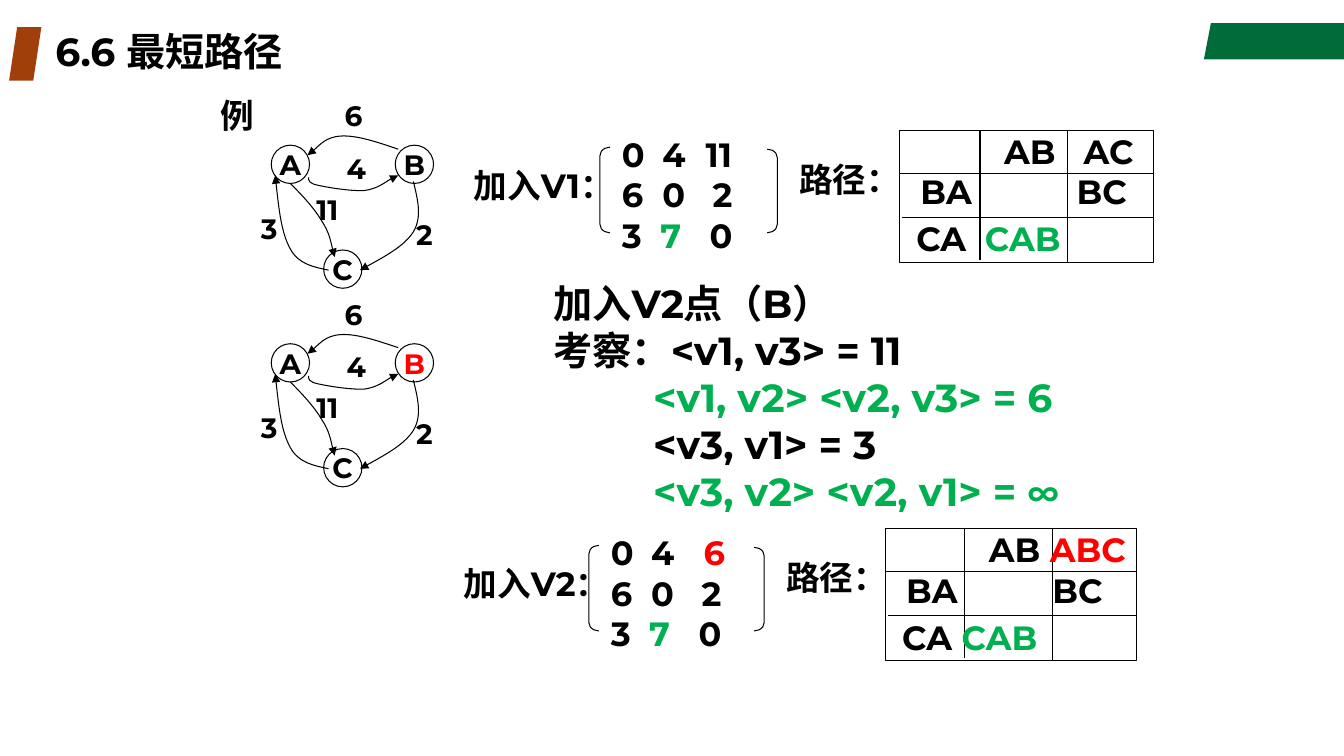
"""Build the slide on shortest paths: two graphs, matrices and path grids."""
from lxml import etree
from pptx import Presentation
from pptx import util as u
from pptx.dml.color import RGBColor
from pptx.enum import shapes, text
from pptx.oxml import ns

COLOURS = {"ink": "000000", "green": "00B050", "red": "FF0000",
           "banner": "006C39", "marker": "A13F0B"}
SHAPE = shapes.MSO_SHAPE
I = u.Inches

deck = Presentation()
deck.slide_width, deck.slide_height = I(13.33), I(7.5)
slide = deck.slides.add_slide(deck.slide_layouts[6])
parts = slide.shapes


def write(frame, lines, size, wrap=False, stops=()):
    """Fill a frame with lines of (words, colour name) pieces and their tab stops."""
    frame.word_wrap = wrap
    for number, pieces in enumerate(lines):
        line = frame.add_paragraph() if number else frame.paragraphs[0]
        if stops:
            tabs = etree.SubElement(line._p.get_or_add_pPr(), ns.qn("a:tabLst"))
            for stop in stops[number]:
                etree.SubElement(tabs, ns.qn("a:tab"), pos=str(I(stop)), algn="l")
        for words, colour in pieces:
            run = line.add_run()
            run.text = words
            run.font.name, run.font.size, run.font.bold = "Montserrat", u.Pt(size), True
            run.font.color.rgb = RGBColor.from_string(COLOURS[colour])
    return frame


def paint(part, fill=None):
    """Give a shape a plain fill, or a thin outline when it has none."""
    part.shadow.inherit = False
    if fill:
        part.fill.solid()
        part.fill.fore_color.rgb = RGBColor.from_string(COLOURS[fill])
        part.line.fill.background()
    else:
        part.fill.background()
        part.line.width = u.Pt(0.75)
        part.line.color.rgb = RGBColor.from_string(COLOURS["ink"])


banner = parts.build_freeform(I(12.01), I(0.23), 1.0)
banner.add_line_segments([(I(x), I(y)) for x, y in [(13.33, 0.23), (13.33, 0.59), (11.94, 0.59)]])
paint(banner.convert_to_shape(), "banner")
marker = parts.add_shape(SHAPE.PARALLELOGRAM, I(0.09), I(0.27), I(0.32), I(0.53))
paint(marker, "marker")

title = parts.add_textbox(I(0.45), I(0.27), I(9.45), I(0.53)).text_frame
write(title, [[("6.6 最短路径", "ink")]], 28, True)
title.vertical_anchor = text.MSO_ANCHOR.MIDDLE
title.paragraphs[0].line_spacing = 0.9
example = parts.add_textbox(I(2.09), I(0.89), I(0.54), I(0.51)).text_frame
write(example, [[("例", "ink")]], 24)

nodes = [("A", 2.69, 0), ("C", 3.21, 1.04), ("B", 3.92, 0)]
edges = [
    [(3.06, 0.32), (3.06, 0.35), (3.06, 0.38), (3.16, 0.4), (3.25, 0.42),
     (3.49, 0.46), (3.62, 0.45), (3.75, 0.43), (3.9, 0.31), (3.95, 0.3)],
    [(3.95, 0.04), (3.74, -0.03), (3.54, -0.1), (3.38, -0.09),
     (3.23, -0.08), (3.1, 0.07), (3.05, 0.1)],
    [(2.88, 0.38), (3, 0.5), (3.12, 0.63), (3.19, 0.75),
     (3.27, 0.87), (3.3, 1.05), (3.32, 1.11)],
    [(3.26, 1.24), (3.11, 1.21), (2.96, 1.18), (2.88, 1.03),
     (2.79, 0.87), (2.76, 0.58), (2.73, 0.3)],
    [(4.1, 0.36), (4.14, 0.53), (4.19, 0.71), (4.1, 0.86),
     (4.01, 1), (3.79, 1.12), (3.57, 1.24)],
]
weights = [("2", 4.03, 0.67, 0.39), ("6", 3.32, -0.51, 0.39), ("4", 3.34, 0.01, 0.39),
           ("3", 2.49, 0.61, 0.39), ("11", 3.04, 0.42, 0.58)]

for graph_top, b_colour in [(1.44, "ink"), (3.41, "red")]:
    for name, x, y in nodes:
        node = parts.add_shape(SHAPE.OVAL, I(x), I(graph_top + y), I(0.38), I(0.38))
        paint(node)
        frame = write(node.text_frame, [[(name, b_colour if name == "B" else "ink")]], 20)
        frame.vertical_anchor = text.MSO_ANCHOR.MIDDLE
        frame.paragraphs[0].alignment = text.PP_ALIGN.CENTER
    for bends in edges:
        start, *route = [(I(x), I(graph_top + y)) for x, y in bends]
        curve = parts.build_freeform(*start, 1.0)
        curve.add_line_segments(route, close=False)
        edge = curve.convert_to_shape()
        paint(edge)
        etree.SubElement(edge.line._get_or_add_ln(), ns.qn("a:tailEnd"), type="triangle")
        outline = edge._element.find(".//" + ns.qn("a:path"))
        corners = outline.findall(ns.qn("a:lnTo"))
        for first in range(0, len(corners), 3):
            bend = etree.SubElement(outline, ns.qn("a:cubicBezTo"))
            for corner in corners[first:first + 3]:
                bend.append(corner[0])
                outline.remove(corner)
    for weight, x, y, width in weights:
        label = parts.add_textbox(I(x), I(graph_top + y), I(width), I(0.44))
        write(label.text_frame, [[(weight, "ink")]], 20)

reasoning = parts.add_textbox(I(5.39), I(2.72), I(7.03), I(2.46)).text_frame
write(reasoning, [
    [("加入V2点（B）", "ink")],
    [("考察：<v1, v3> = 11", "ink")],
    [("<v1, v2> <v2, v3> = 6", "green")],
    [("<v3, v1> = 3", "ink")],
    [("<v3, v2> <v2, v1> = ", "green"), ("∞", "green")],
], 28, True)
for line in reasoning.paragraphs[2:]:
    line._p.get_or_add_pPr().set("marL", str(I(0.99)))
reasoning.paragraphs[-1].runs[-1].font.size = u.Pt(24)

stages = [
    {"top": 1.29, "step": ("加入V1：", 4.6, 1.68), "paths_x": 7.83,
     "matrix": (6.07, 1.55), "right_bracket": 7.61,
     "rows": [[("0\t4\t11", "ink")], [("6\t0\t2", "ink")],
              [("3\t", "ink"), ("7", "green"), ("\t0", "ink")]],
     "stops": [(0.4, 0.83), (0.4, 0.9), (0.38, 0.87)],
     "grid": (8.92, 2.52), "columns": (0.8, 1.67),
     "paths": [(9.86, -0.04, 1.58, [("AB\tAC", "ink")], 0.79),
               (9.03, 0.36, 2.47, [("BA\tBC", "ink")], 1.55),
               (8.99, 0.82, 1.73, [("CA\t", "ink"), ("CAB", "green")], 0.68)]},
    {"top": 5.24, "step": ("加入V2：", 4.5, 1.66), "paths_x": 7.7,
     "matrix": (5.96, 1.44), "right_bracket": 7.48,
     "rows": [[("0\t4\t", "ink"), ("6", "red")], [("6\t0\t2", "ink")],
              [("3\t", "ink"), ("7", "green"), ("\t0", "ink")]],
     "stops": [(0.4, 0.92), (0.4, 0.9), (0.38, 0.87)],
     "grid": (8.78, 2.49), "columns": (0.79, 1.66),
     "paths": [(9.71, -0.04, 1.62, [("AB ", "ink"), ("ABC", "red")], 0.61),
               (8.89, 0.36, 3.34, [("BA\tBC", "ink")], 1.45),
               (8.85, 0.83, 1.62, [("CA ", "ink"), ("CAB", "green")], 0.6)]},
]

for stage in stages:
    top = stage["top"]
    matrix_x, matrix_width = stage["matrix"]
    matrix = parts.add_textbox(I(matrix_x), I(top - 0.01), I(matrix_width), I(1.31))
    write(matrix.text_frame, stage["rows"], 24, True, stage["stops"])
    for kind, x, y, height, bend in [
            (SHAPE.LEFT_BRACKET, matrix_x - 0.12, 0.17, 0.85, 0.87),
            (SHAPE.RIGHT_BRACKET, stage["right_bracket"], 0.19, 0.83, 0.85)]:
        bracket = parts.add_shape(kind, I(x), I(top + y), I(0.1), I(height))
        bracket.adjustments[0] = bend
        paint(bracket)

    step, step_x, step_width = stage["step"]
    step_box = parts.add_textbox(I(step_x), I(top + 0.3), I(step_width), I(0.5))
    write(step_box.text_frame, [[(step, "ink")]], 24, True)
    paths_box = parts.add_textbox(I(stage["paths_x"]), I(top + 0.24), I(1.21), I(0.5))
    write(paths_box.text_frame, [[("路径：", "ink")]], 24)

    left, width = stage["grid"]
    first, second = stage["columns"]
    paint(parts.add_shape(SHAPE.RECTANGLE, I(left), I(top), I(width), I(1.31)))
    for x1, y1, x2, y2 in [(0, 0.43, width, 0.43), (0.03, 0.87, width, 0.87),
                           (first, 0, first, 1.29), (second, 0, second, 1.31)]:
        rule = parts.add_connector(shapes.MSO_CONNECTOR.STRAIGHT, I(left + x1), I(top + y1),
                                   I(left + x2), I(top + y2))
        rule.line.width = u.Pt(0.75)
        rule.line.color.rgb = RGBColor.from_string(COLOURS["ink"])
        etree.SubElement(rule._element.spPr, ns.qn("a:effectLst"))
    for x, y, row_width, pieces, stop in stage["paths"]:
        row = parts.add_textbox(I(x), I(top + y), I(row_width), I(0.51))
        write(row.text_frame, [pieces], 24, True, [(stop,)])

deck.save("out.pptx")
